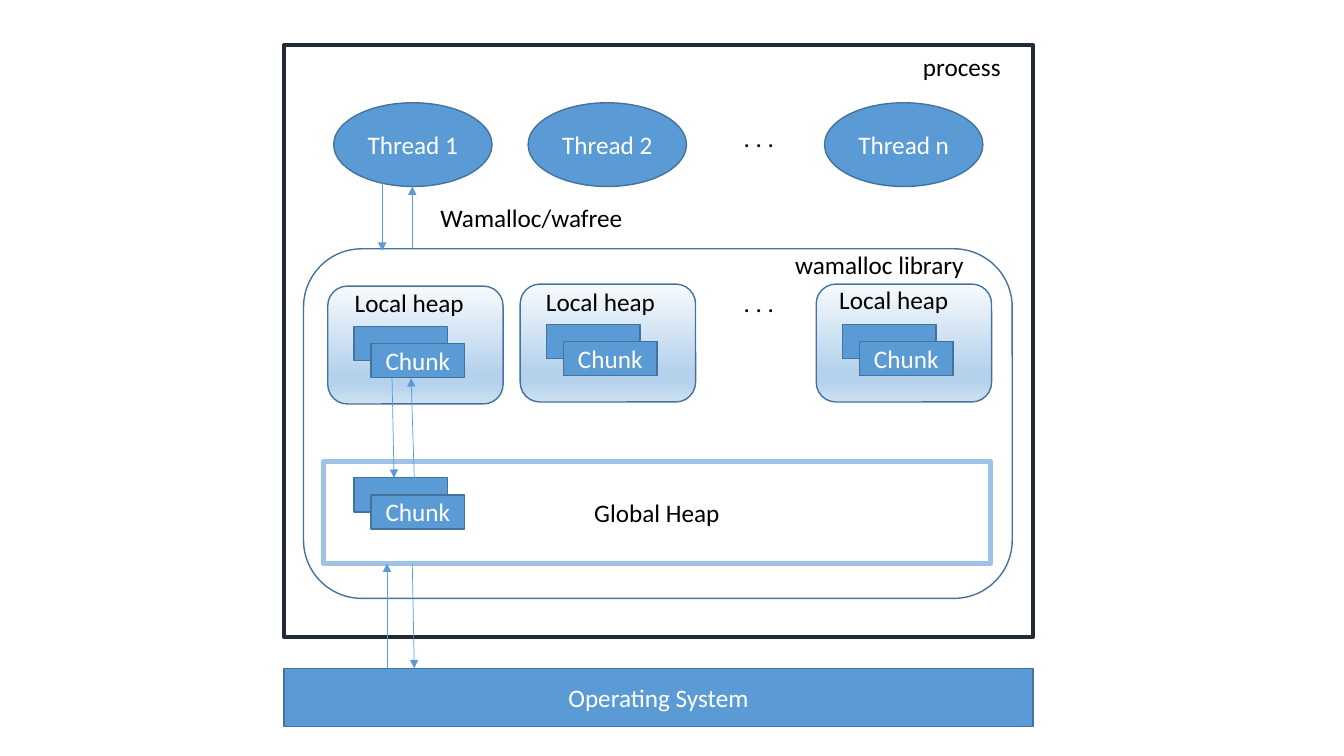
from dataclasses import dataclass
from lxml.etree import SubElement
from pptx import Presentation
from pptx.dml.color import RGBColor
from pptx.enum.shapes import MSO_CONNECTOR, MSO_SHAPE as Shape
from pptx.enum.text import MSO_ANCHOR, MSO_AUTO_SIZE, PP_ALIGN
from pptx.oxml.ns import qn
from pptx.util import Cm, Pt


@dataclass(frozen=True)
class Theme:
    font: str = "Calibri"
    size: int = 18
    dark: str = "000000"
    light: str = "FFFFFF"
    blue: str = "5B9BD5"
    edge: str = "43739E"
    frame: str = "222A35"
    pale: str = "9DC3E6"
    heap: tuple = ((0, "F7FAFD"), (74, "B5D2EC"), (83, "B5D2EC"), (100, "CEE1F2"))


theme = Theme()
rgb = RGBColor.from_string
deck = Presentation()
deck.slide_width, deck.slide_height = Cm(33.87), Cm(19.05)
slide = deck.slides.add_slide(deck.slide_layouts[6])


def add_box(kind, at, fill=None, edge=theme.edge, width=1, text="", color=theme.light):
    box = slide.shapes.add_shape(kind, *map(Cm, at))
    box.shadow.inherit = False
    if fill:
        box.fill.solid()
        box.fill.fore_color.rgb = rgb(fill)
    else:
        box.fill.background()
    box.line.color.rgb = rgb(edge)
    box.line.width = Pt(width)
    if text:
        box.text_frame.vertical_anchor = MSO_ANCHOR.MIDDLE
        add_text(box.text_frame, text, color, PP_ALIGN.CENTER)
    return box


def add_text(frame, text, color, align=PP_ALIGN.LEFT):
    paragraph = frame.paragraphs[0]
    paragraph.alignment = align
    run = paragraph.add_run()
    run.text = text
    run.font.name, run.font.size = theme.font, Pt(theme.size)
    run.font.color.rgb = rgb(color)


add_box(Shape.RECTANGLE, (8.15, 11.63, 16.81, 2.57), theme.light, theme.pale, 3.75,
        "Global Heap", theme.dark)
add_box(Shape.RECTANGLE, (7.16, 1.14, 18.87, 14.91), edge=theme.frame, width=3.25)
add_box(Shape.ROUNDED_RECTANGLE, (7.65, 6.27, 17.86, 8.81))
add_box(Shape.RECTANGLE, (7.16, 16.84, 18.87, 1.47), theme.blue, text="Operating System")

for left, name in ((8.41, "Thread 1"), (13.31, "Thread 2"), (20.78, "Thread n")):
    add_box(Shape.OVAL, (left, 2.59, 3.99, 2.11), theme.blue, text=name)

local_heaps = [(8.26, 7.21), (13.11, 7.16), (20.57, 7.16)]
for left, top in local_heaps:
    heap = add_box(Shape.ROUNDED_RECTANGLE, (left, top, 4.42, 2.97))
    heap.fill.gradient()
    heap.fill.gradient_angle = 270
    stops = heap.element.spPr.find(qn("a:gradFill")).find(qn("a:gsLst"))
    stops.clear()
    for position, color in theme.heap:
        stop = SubElement(stops, qn("a:gs"), pos=str(position * 1000))
        SubElement(stop, qn("a:srgbClr"), val=color)

chunk_pairs = [(left + 0.66, top + 1.02) for left, top in local_heaps] + [(8.92, 12.04)]
for left, top in chunk_pairs:
    for shift, text in ((0, ""), (0.43, "Chunk")):
        add_box(Shape.FLOWCHART_PROCESS, (left + shift, top + shift, 2.36, 0.86),
                theme.blue, text=text)

labels = [
    ("Local heap", 8.69, 7.11, 3.71, True),
    ("Local heap", 13.51, 7.09, 3.71, True),
    ("Local heap", 20.9, 7.04, 3.71, True),
    (". . .", 18.49, 2.97, 1.3, True),
    (". . .", 18.49, 7.11, 1.3, True),
    ("Wamalloc/wafree", 10.85, 4.98, 5.16, False),
    ("wamalloc library", 19.79, 6.15, 4.8, False),
    ("process", 23.01, 1.17, 2.49, False),
]
for text, left, top, width, wrap in labels:
    label = slide.shapes.add_textbox(Cm(left), Cm(top), Cm(width), Cm(1.02)).text_frame
    label.word_wrap = wrap
    label.auto_size = MSO_AUTO_SIZE.SHAPE_TO_FIT_TEXT
    add_text(label, text, theme.dark)

calls = [
    (9.63, 4.6, 9.63, 6.32),
    (10.39, 6.25, 10.39, 4.7),
    (9.88, 9.53, 9.93, 12.04),
    (10.44, 12.04, 10.36, 9.53),
    (9.75, 16.84, 9.75, 14.2),
    (10.39, 14.2, 10.44, 16.84),
]
for ends in calls:
    arrow = slide.shapes.add_connector(MSO_CONNECTOR.STRAIGHT, *map(Cm, ends))
    arrow.line.color.rgb = rgb(theme.blue)
    arrow.line.width = Pt(0.5)
    SubElement(arrow.line._get_or_add_ln(), qn("a:tailEnd"), type="triangle")
    SubElement(arrow.element.spPr, qn("a:effectLst"))

deck.save("out.pptx")
